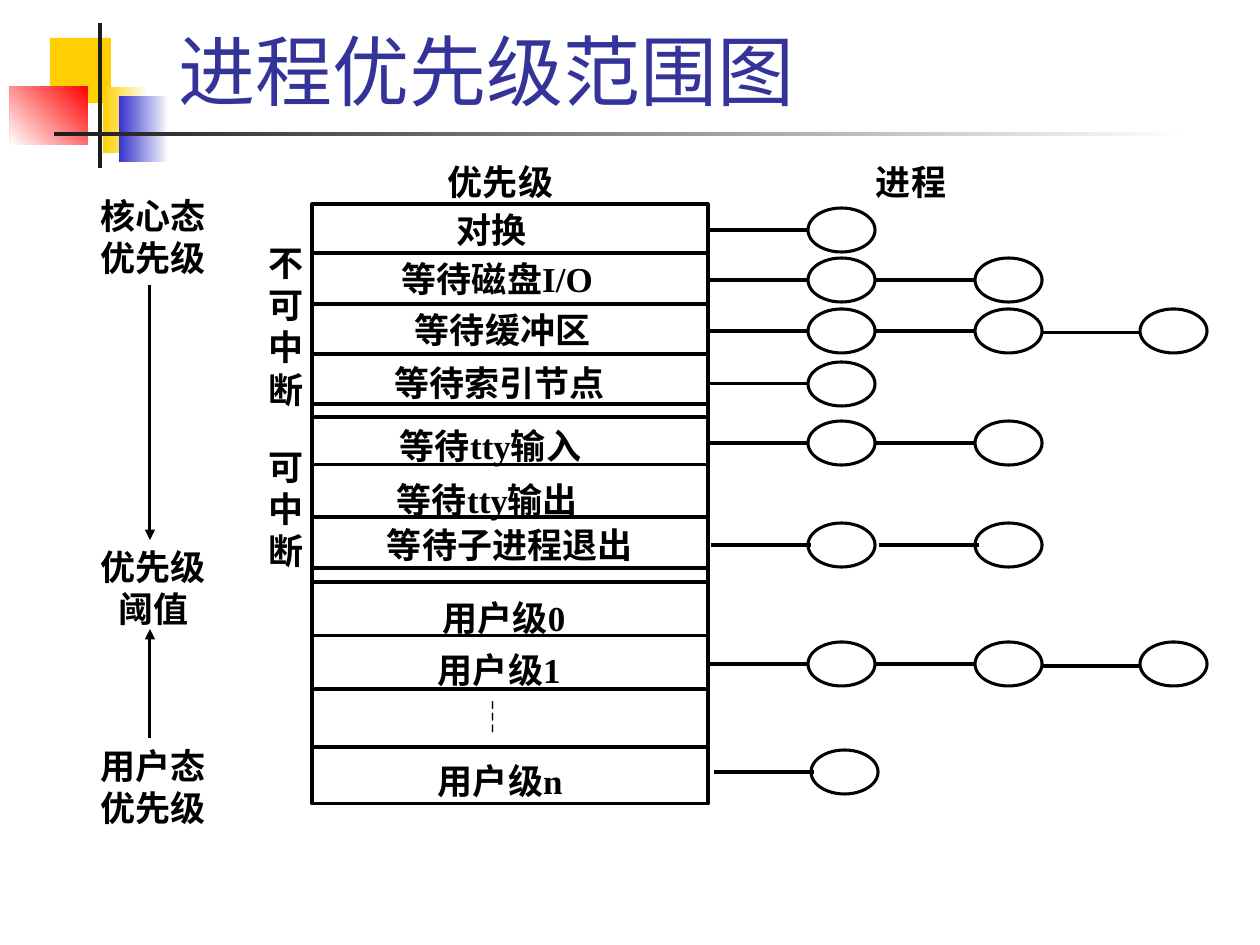
import pptx
import pptx.dml.color
import pptx.enum.shapes
import pptx.enum.text
import pptx.oxml.ns
import pptx.util
import lxml.etree

PX = 914400 / 126
SHAPE = pptx.enum.shapes.MSO_SHAPE
ALIGN = pptx.enum.text.PP_ALIGN
ANCHOR = pptx.enum.text.MSO_ANCHOR
BLACK, WHITE = "000000", "FFFFFF"

TABLE_LEFT, TABLE_TOP, TABLE_RIGHT, TABLE_BOTTOM = 312, 204, 708, 804
DIVIDERS = [253, 304, 354, 404, 417, 465, 517, 568, 582, 636, 689, 747]
OVAL_LEFTS = [808, 975, 1140]
OVAL_WIDTH, OVAL_HEIGHT = 67, 44
LINKS = [(708, 808, 0), (876, 976, 0), (1041, 1141, 2)]  # from x, to x, drop

# text, left, top, width, height, alignment
LABELS = [
    ("优先级", 445, 160, 139, 34, ALIGN.JUSTIFY),
    ("进程", 873, 160, 95, 34, ALIGN.JUSTIFY),
    ("核心态优先级", 84, 194, 139, 67, ALIGN.CENTER),
    ("优先级阈值", 84, 545, 139, 67, ALIGN.CENTER),
    ("用户态优先级", 84, 744, 139, 67, ALIGN.CENTER),
    ("不可中断", 255, 242, 62, 151, ALIGN.CENTER),
    ("可中断", 255, 445, 62, 110, ALIGN.CENTER),
    ("对换", 454, 208, 84, 34, ALIGN.JUSTIFY),
    ("等待磁盘I/O", 399, 257, 212, 30, ALIGN.JUSTIFY),
    ("等待缓冲区", 412, 309, 198, 37, ALIGN.JUSTIFY),
    ("等待索引节点", 372, 362, 255, 30, ALIGN.CENTER),
    ("等待tty输入", 397, 425, 233, 33, ALIGN.JUSTIFY),
    ("等待tty输出", 394, 478, 228, 34, ALIGN.JUSTIFY),
    ("等待子进程退出", 384, 524, 273, 37, ALIGN.JUSTIFY),
    ("用户级0", 420, 596, 168, 33, ALIGN.CENTER),
    ("用户级1", 435, 649, 144, 37, ALIGN.JUSTIFY),
    ("用户级n", 435, 760, 154, 39, ALIGN.JUSTIFY),
]

# top, number of processes, shift of the ovals, shift of the links
CHAINS = [
    (208, 1, 0, 0),
    (258, 2, 0, 0),
    (309, 3, 0, 0),
    (362, 1, 0, 0),
    (421, 2, 0, 0),
    (523, 2, 0, 3),
    (642, 3, 0, 0),
    (750, 1, 3, 6),
]


def px(length):
    return pptx.util.Emu(round(length * PX))


def rgb(value):
    return pptx.dml.color.RGBColor.from_string(value)


def add_block(page, kind, left, top, width, height, fill, outline=None):
    block = page.shapes.add_shape(kind, px(left), px(top), px(width), px(height))
    block.shadow.inherit = False
    block.fill.solid()
    block.fill.fore_color.rgb = rgb(fill)
    if outline:
        block.line.color.rgb = rgb(outline)
        block.line.width = pptx.util.Pt(1.75)
    else:
        block.line.fill.background()
    return block


def add_fade(page, left, top, width, height, start, end, angle):
    """Add a gradient rectangle; the angle runs counter-clockwise."""
    block = add_block(page, SHAPE.RECTANGLE, left, top, width, height, start)
    block.fill.gradient()
    block.fill.gradient_angle = angle
    for stop, colour, position in zip(block.fill.gradient_stops, (start, end), (0, 1)):
        stop.color.rgb = rgb(colour)
        stop.position = position


def add_line(page, x1, y1, x2, y2, arrow=False):
    line = page.shapes.add_connector(
        pptx.enum.shapes.MSO_CONNECTOR.STRAIGHT, px(x1), px(y1), px(x2), px(y2))
    line.line.color.rgb = rgb(BLACK)
    line.line.width = pptx.util.Pt(1.75)
    qn = pptx.oxml.ns.qn
    if arrow:
        lxml.etree.SubElement(line.line._get_or_add_ln(), qn("a:tailEnd"), type="triangle")
    lxml.etree.SubElement(line._element.spPr, qn("a:effectLst"))


def add_text(page, text, left, top, width, height, align, size=20,
             face="Times New Roman", colour=BLACK, bold=True, margin=3):
    box = page.shapes.add_textbox(px(left), px(top), px(width), px(height))
    frame = box.text_frame
    frame.word_wrap = True
    frame.margin_left = px(margin)
    frame.margin_right = px(3)
    frame.margin_top = frame.margin_bottom = 0
    para = frame.paragraphs[0]
    para.alignment = align
    span = para.add_run()
    span.text = text
    span.font.size = pptx.util.Pt(size)
    span.font.name = face
    span.font.bold = bold
    span.font.color.rgb = rgb(colour)
    return frame


def add_heading(page):
    add_block(page, SHAPE.RECTANGLE, 50, 38, 61, 65, "FFCF01")
    add_fade(page, 103, 87, 45, 66, WHITE, "FFCF01", 180)
    add_fade(page, 119, 96, 50, 66, WHITE, "3333CC", 180)
    add_fade(page, 10, 86, 78, 59, "FF0000", WHITE, 225)
    add_block(page, SHAPE.RECTANGLE, 98, 23, 4, 145, "1C1C1C")
    add_fade(page, 54, 132, 1134, 4, WHITE, "1C1C1C", 180)
    frame = add_text(page, "进程优先级范围图", 151, 21, 1074, 101, ALIGN.LEFT,
                     44, "Lato", "333399", False, margin=28)
    frame.margin_bottom = px(6)
    frame.vertical_anchor = ANCHOR.BOTTOM


def add_priority_table(page):
    add_block(page, SHAPE.RECTANGLE, TABLE_LEFT, TABLE_TOP, TABLE_RIGHT - TABLE_LEFT,
              TABLE_BOTTOM - TABLE_TOP, WHITE, BLACK)
    for y in DIVIDERS:
        add_line(page, TABLE_LEFT, y, TABLE_RIGHT, y)


def add_chain(page, top, count, oval_shift, link_shift):
    for left in OVAL_LEFTS[:count]:
        add_block(page, SHAPE.OVAL, left + oval_shift, top, OVAL_WIDTH, OVAL_HEIGHT,
                  WHITE, BLACK)
    middle = top + OVAL_HEIGHT // 2
    for start, end, drop in LINKS[:count]:
        add_line(page, start + link_shift, middle + drop, end + link_shift, middle + drop)


def main():
    deck = pptx.Presentation()
    deck.slide_width, deck.slide_height = px(1260), px(945)
    page = deck.slides.add_slide(deck.slide_layouts[6])
    add_heading(page)
    add_priority_table(page)
    add_line(page, 150, 285, 150, 540, arrow=True)
    add_line(page, 150, 738, 150, 629, arrow=True)
    for chain in CHAINS:
        add_chain(page, *chain)
    for label in LABELS:
        add_text(page, *label)
    add_text(page, "┆", 473, 696, 89, 37, ALIGN.JUSTIFY,
             face="Noto Sans CJK SC", bold=False)
    deck.save("out.pptx")


if __name__ == "__main__":
    main()
